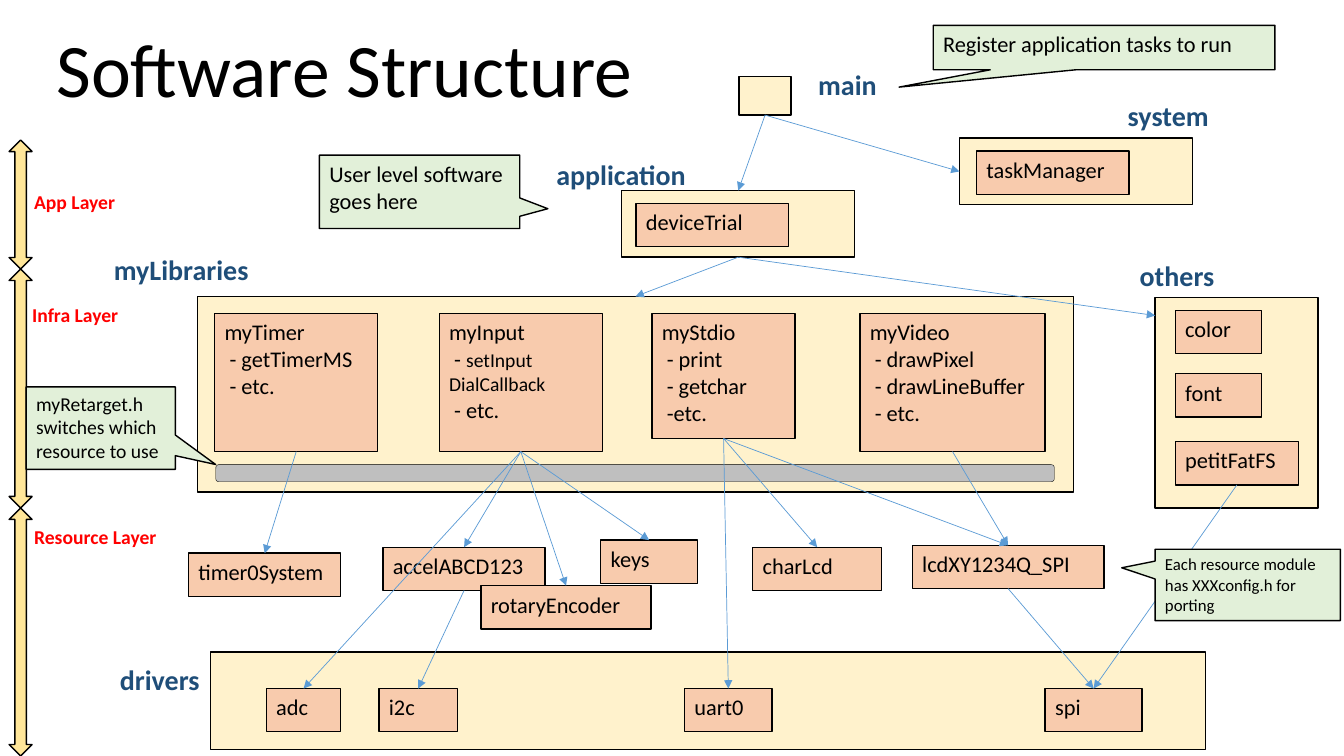
"""Build the Software Structure slide: layered modules, their links and callouts."""
from itertools import pairwise
from typing import NamedTuple

from lxml.etree import SubElement
from pptx import Presentation
from pptx.dml.color import RGBColor
from pptx.enum.shapes import MSO_CONNECTOR, MSO_SHAPE
from pptx.enum.text import MSO_ANCHOR, MSO_AUTO_SIZE, PP_ALIGN
from pptx.oxml.ns import qn
from pptx.shapes.autoshape import Shape
from pptx.slide import Slide
from pptx.text.text import TextFrame
from pptx.util import Cm, Pt

FONT = "Calibri"
COLORS = {
    "panel": "FFF2CC", "module": "F8CBAD", "bar": "BFBFBF", "layer": "FFE699",
    "callout": "E2F0D9", "link": "5B9BD5", "heading": "1F4E79",
    "layer_name": "FF0000", "black": "000000",
}
BOTTOM, TOP, LEFT = 2, 0, 1
ROW = 1.09
DRIVER_Y = 17.35


class Box(NamedTuple):
    x: float
    y: float
    w: float
    h: float


class Run(NamedTuple):
    text: str
    size: float = 16


class Module(NamedTuple):
    name: str
    box: Box
    details: tuple[tuple[Run, ...], ...] = ()


class Link(NamedTuple):
    source: str
    target: str
    site: int = TOP


class Label(NamedTuple):
    text: str
    box: Box
    color: str
    size: float


class Callout(NamedTuple):
    lines: tuple[str, ...]
    box: Box
    tip: tuple[float, float]
    size: float


PANELS = {
    "myLibraries": Box(4.98, 7.47, 22.07, 4.93),
    "drivers": Box(5.31, 16.43, 25.07, 2.46),
    "others": Box(29.11, 7.49, 4.11, 5.31),
    "main": Box(18.62, 1.93, 1.32, 0.97),
    "application": Box(15.67, 4.8, 5.87, 1.68),
    "system": Box(24.18, 3.48, 5.87, 1.68),
}
RETARGET_BAR = Box(5.44, 11.71, 21.13, 0.43)
MODULES = [
    Module("myTimer", Box(5.41, 7.9, 4.11, 3.48), ((Run(" - getTimerMS"),), (Run(" - etc."),))),
    Module("myInput", Box(11.07, 7.9, 4.11, 3.48),
           ((Run(" - "), Run("setInput DialCallback", 14)), (Run(" - etc."),))),
    Module("myStdio", Box(16.43, 7.9, 3.61, 3.15),
           ((Run(" - print"),), (Run(" - getchar"),), (Run(" -etc."),))),
    Module("myVideo", Box(21.67, 7.9, 4.67, 3.48),
           ((Run(" - drawPixel"),), (Run(" - drawLineBuffer"),), (Run(" - etc."),))),
    Module("timer0System", Box(4.75, 13.94, 3.84, ROW)),
    Module("accelABCD123", Box(9.65, 13.79, 4.09, ROW)),
    Module("keys", Box(15.14, 13.61, 2.44, ROW)),
    Module("rotaryEncoder", Box(12.12, 14.76, 4.29, ROW)),
    Module("charLcd", Box(18.97, 13.79, 3.25, ROW)),
    Module("lcdXY1234Q_SPI", Box(22.99, 13.74, 4.83, ROW)),
    Module("adc", Box(6.71, DRIVER_Y, 1.88, ROW)),
    Module("i2c", Box(9.55, DRIVER_Y, 1.98, ROW)),
    Module("uart0", Box(17.25, DRIVER_Y, 2.21, ROW)),
    Module("spi", Box(26.34, DRIVER_Y, 2.44, ROW)),
    Module("color", Box(29.62, 7.82, 2.18, ROW)),
    Module("font", Box(29.62, 9.42, 2.18, ROW)),
    Module("petitFatFS", Box(29.62, 11.13, 3.1, ROW)),
    Module("deviceTrial", Box(16.03, 5.13, 3.84, ROW)),
    Module("taskManager", Box(24.61, 3.81, 3.84, ROW)),
]
LINKS = [
    Link("main", "application"), Link("main", "system", LEFT),
    Link("application", "myLibraries"),
    Link("myTimer", "timer0System"),
    Link("myInput", "accelABCD123"), Link("myInput", "rotaryEncoder"),
    Link("myInput", "keys"), Link("myInput", "adc"),
    Link("myStdio", "lcdXY1234Q_SPI"), Link("myStdio", "uart0"), Link("myStdio", "charLcd"),
    Link("myVideo", "lcdXY1234Q_SPI"),
    Link("accelABCD123", "i2c"), Link("lcdXY1234Q_SPI", "spi"), Link("petitFatFS", "spi"),
]
OTHERS_ENTRY = (29.11, 7.95)
LAYER_BOUNDS = (3.53, 6.78, 12.8, 19.05)
LABELS = [
    Label("myLibraries", Box(2.62, 6.25, 3.94, 1.12), "heading", 20),
    Label("others", Box(28.47, 6.4, 2.41, 1.12), "heading", 20),
    Label("main", Box(20.37, 1.57, 2.01, 1.12), "heading", 20),
    Label("system", Box(28.17, 2.36, 2.57, 1.12), "heading", 20),
    Label("drivers", Box(2.77, 16.56, 2.54, 1.12), "heading", 20),
    Label("application", Box(13.77, 3.84, 3.81, 1.12), "heading", 20),
    Label("App Layer", Box(0.61, 4.65, 2.57, 0.86), "layer_name", 14),
    Label("Infra Layer", Box(0.56, 7.52, 2.69, 0.86), "layer_name", 14),
    Label("Resource Layer", Box(0.61, 13.11, 3.61, 0.86), "layer_name", 14),
]
CALLOUTS = [
    Callout(("Register application tasks to run",), Box(23.52, 0.64, 8.61, 1.12), (-0.6, 0.89), 16),
    Callout(("Each resource module has XXXconfig.h for porting",),
            Box(29.11, 13.84, 4.67, 1.8), (-0.68, -0.24), 12),
    Callout(("myRetarget.h", "switches which resource to use"),
            Box(0.66, 9.75, 3.76, 2.08), (0.77, 0.44), 14),
    Callout(("User level software goes here",), Box(8.05, 3.91, 5.05, 1.85), (0.64, 0.23), 16),
]


def rgb(name: str) -> RGBColor:
    return RGBColor.from_string(COLORS[name])


def write(tf: TextFrame, paragraphs: tuple[tuple[Run, ...], ...],
          color: str = "black", bold: bool = False) -> None:
    for i, runs in enumerate(paragraphs):
        p = tf.add_paragraph() if i else tf.paragraphs[0]
        p.alignment = PP_ALIGN.LEFT
        for run in runs:
            r = p.add_run()
            r.text = run.text
            r.font.name, r.font.size, r.font.bold = FONT, Pt(run.size), bold
            r.font.color.rgb = rgb(color)


def add_box(slide: Slide, box: Box, fill: str, kind: MSO_SHAPE = MSO_SHAPE.RECTANGLE,
            line_width: float = 1) -> Shape:
    sp = slide.shapes.add_shape(kind, *map(Cm, box))
    sp.shadow.inherit = False
    sp.fill.solid()
    sp.fill.fore_color.rgb = rgb(fill)
    sp.line.color.rgb = rgb("black")
    sp.line.width = Pt(line_width)
    sp.text_frame.word_wrap = True
    sp.text_frame.vertical_anchor = MSO_ANCHOR.TOP
    return sp


def add_module(slide: Slide, module: Module) -> Shape:
    sp = add_box(slide, module.box, "module")
    write(sp.text_frame, ((Run(module.name),), *module.details))
    return sp


def add_link(slide: Slide, source: Shape, target: Shape | None = None, site: int = TOP) -> None:
    cxn = slide.shapes.add_connector(MSO_CONNECTOR.STRAIGHT, 0, 0, *map(Cm, OTHERS_ENTRY))
    cxn.begin_connect(source, BOTTOM)
    if target is not None:
        cxn.end_connect(target, site)
    cxn.line.color.rgb = rgb("link")
    cxn.line.width = Pt(0.5)
    spPr = cxn._element.spPr
    SubElement(spPr.find(qn("a:ln")), qn("a:tailEnd"), type="triangle")
    SubElement(spPr, qn("a:effectLst"))


def add_label(slide: Slide, label: Label) -> None:
    tf = slide.shapes.add_textbox(*map(Cm, label.box)).text_frame
    tf.word_wrap = False
    tf.auto_size = MSO_AUTO_SIZE.SHAPE_TO_FIT_TEXT
    write(tf, ((Run(label.text, label.size),),), label.color, bold=True)


def add_callout(slide: Slide, callout: Callout) -> None:
    sp = add_box(slide, callout.box, "callout", MSO_SHAPE.RECTANGULAR_CALLOUT)
    sp.adjustments[0], sp.adjustments[1] = callout.tip
    write(sp.text_frame, tuple((Run(line, callout.size),) for line in callout.lines))


def add_title(slide: Slide) -> None:
    tf = slide.shapes.add_textbox(Cm(1.17), Cm(0.66), Cm(29.21), Cm(2.34)).text_frame
    tf.word_wrap = True
    tf.vertical_anchor = MSO_ANCHOR.BOTTOM
    write(tf, ((Run("Software Structure", 54),),))
    tf.paragraphs[0].line_spacing = 0.9


def main() -> None:
    prs = Presentation()
    prs.slide_width, prs.slide_height = Cm(33.87), Cm(19.05)
    slide = prs.slides.add_slide(prs.slide_layouts[6])
    add_title(slide)
    nodes = {name: add_box(slide, box, "panel") for name, box in PANELS.items()}
    add_box(slide, RETARGET_BAR, "bar", MSO_SHAPE.ROUNDED_RECTANGLE, 0.25)
    nodes |= {module.name: add_module(slide, module) for module in MODULES}
    for link in LINKS:
        add_link(slide, nodes[link.source], nodes[link.target], link.site)
    add_link(slide, nodes["application"])
    for top, bottom in pairwise(LAYER_BOUNDS):
        add_box(slide, Box(0.23, top, 0.58, bottom - top), "layer", MSO_SHAPE.UP_DOWN_ARROW)
    for label in LABELS:
        add_label(slide, label)
    for callout in CALLOUTS:
        add_callout(slide, callout)
    prs.save("out.pptx")


if __name__ == "__main__":
    main()
